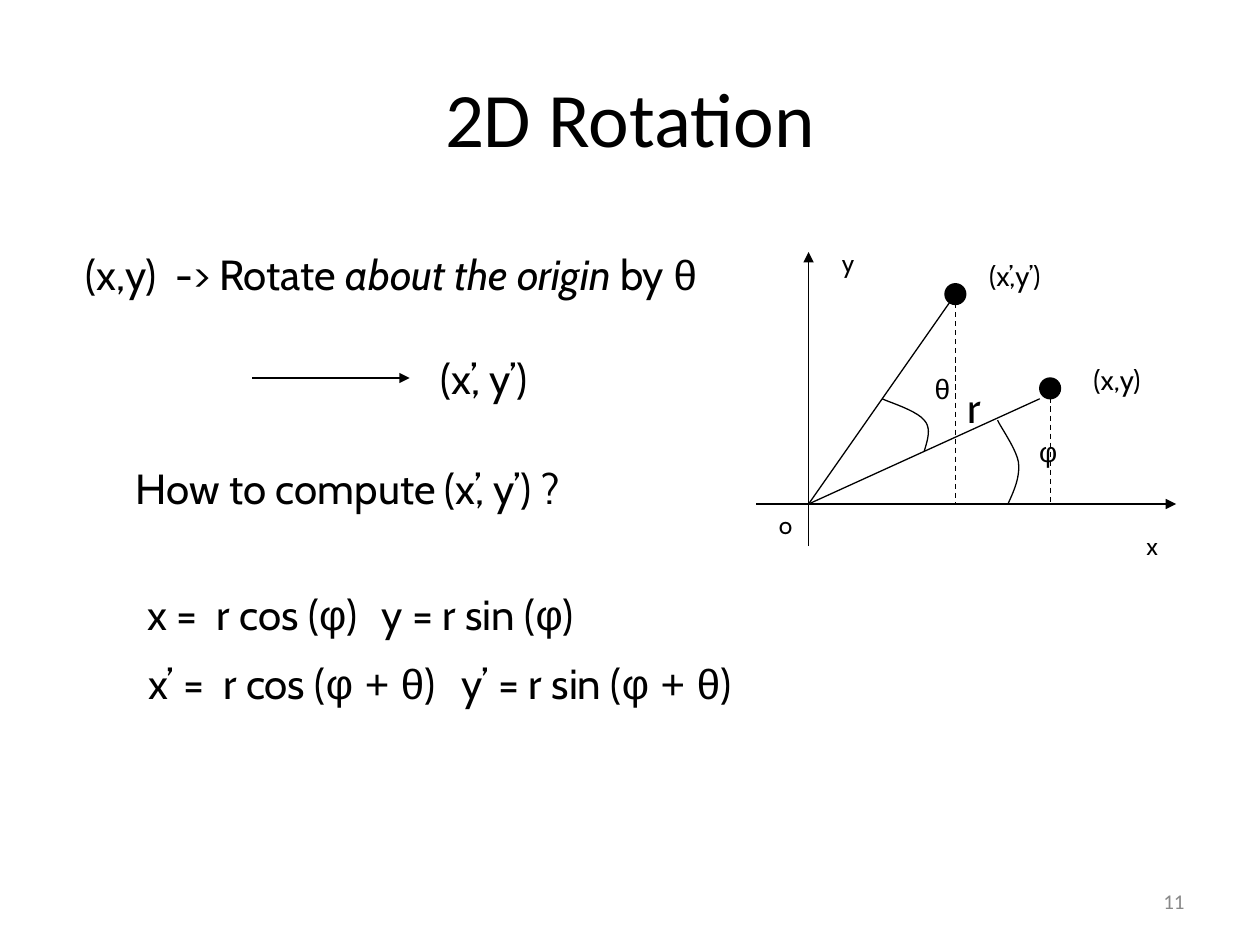
from lxml import etree
from pptx import Presentation
from pptx.dml.color import RGBColor
from pptx.enum.dml import MSO_LINE
from pptx.enum.shapes import MSO_CONNECTOR, MSO_SHAPE
from pptx.enum.text import MSO_ANCHOR, MSO_AUTO_SIZE, PP_ALIGN
from pptx.oxml.ns import qn
from pptx.util import Cm, Pt

BLACK = RGBColor(0, 0, 0)
GRAY = RGBColor(0x89, 0x89, 0x89)

TITLE = "2D Rotation"
PAGE = "11"

CABIN = {"name": "Cabin"}
ITALIC = {"name": "Cabin", "italic": True}
GREEK = {"name": "Arial"}

# left, top, width, height, size, wrap, tab stop, runs
TEXTS = [
    (1.47, 4.88, 14.48, 1.27, 24, False, None,
     [("(x,y)  -> Rotate ", CABIN), ("about the origin", ITALIC), (" by ", CABIN), ("θ", GREEK)]),
    (8.64, 6.99, 2.9, 1.27, 24, False, None, [("(x’, y’)", CABIN)]),
    (2.49, 9.19, 9.98, 1.27, 24, False, None, [("How to compute (x’, y’) ?", CABIN)]),
    (2.72, 11.73, 10.74, 1.27, 24, False, 4.72,
     [("x =  r cos (", CABIN), ("φ", GREEK), (")\ty = r sin (", CABIN), ("φ", GREEK), (")", CABIN)]),
    (2.74, 13.13, 13.89, 1.3, 24, False, 6.32,
     [("x’ =  r cos (", CABIN), ("φ + θ", GREEK), (")\ty’ = r sin (", CABIN),
      ("φ + θ", GREEK), (")", CABIN)]),
    (19.25, 7.57, 0.81, 1.27, 24, False, None, [("r", CABIN)]),
    (21.79, 7.19, 1.85, 0.94, 16, False, None, [("(x,y)", CABIN)]),
    (19.69, 5.08, 2.08, 0.94, 16, False, None, [("(x’,y’)", CABIN)]),
    (18.59, 7.37, 0.81, 0.94, 16, False, None, [("θ", GREEK)]),
    (20.7, 8.64, 0.81, 0.94, 16, False, None, [("φ", GREEK)]),
    (22.86, 10.58, 0.85, 0.85, 14, True, None, [("x", CABIN)]),
    (16.72, 4.87, 0.85, 0.85, 14, True, None, [("y", CABIN)]),
    (15.45, 10.16, 0.85, 0.85, 14, True, None, [("o", CABIN)]),
]

ORIGIN_X, ORIGIN_Y = 16.3, 10.16
POINT = (21.17, 7.83)
ROTATED = (19.26, 5.93)
DOT = 0.42

LINES = [
    ((15.24, ORIGIN_Y), (23.71, ORIGIN_Y), "arrow"),
    ((ORIGIN_X, 11.01), (ORIGIN_X, 5.08), "arrow"),
    ((5.08, 7.62), (8.26, 7.62), "arrow"),
    ((ORIGIN_X, ORIGIN_Y), (20.96, 8.04), "plain"),
    ((ORIGIN_X, ORIGIN_Y), ROTATED, "plain"),
    (POINT, (POINT[0], ORIGIN_Y), "dash"),
    (ROTATED, (ROTATED[0], ORIGIN_Y), "dash"),
]

ARCS = [
    [(18.63, 9.1), (18.7, 8.87), (18.78, 8.63), (18.63, 8.47),
     (18.48, 8.28), (17.93, 8.11), (17.78, 8.04)],
    [(20.32, 10.16), (20.45, 9.88), (20.57, 9.6), (20.53, 9.31),
     (20.48, 9.04), (20.17, 8.61), (20.11, 8.47)],
]
ARC_STEPS = 10


def set_all(obj, values):
    for key, value in values.items():
        setattr(obj, key, value)


def add_runs(p, runs, size, color=BLACK):
    for text, font in runs:
        r = p.add_run()
        r.text = text
        set_all(r.font, {"size": Pt(size), **font})
        r.font.color.rgb = color


def set_line(line):
    line.color.rgb = BLACK
    line.width = Pt(0.75)


def add_text(s, left, top, width, height, size, wrap, tab, runs):
    tf = s.shapes.add_textbox(Cm(left), Cm(top), Cm(width), Cm(height)).text_frame
    set_all(tf, {"word_wrap": wrap, "auto_size": MSO_AUTO_SIZE.SHAPE_TO_FIT_TEXT})
    p = tf.paragraphs[0]
    add_runs(p, runs, size)
    if tab:
        tabs = etree.SubElement(p._p.get_or_add_pPr(), qn("a:tabLst"))
        etree.SubElement(tabs, qn("a:tab"), pos=str(Cm(tab)), algn="l")


def add_line(s, start, end, style):
    c = s.shapes.add_connector(MSO_CONNECTOR.STRAIGHT, *map(Cm, start + end))
    set_line(c.line)
    if style == "dash":
        c.line.dash_style = MSO_LINE.DASH
    if style == "arrow":
        etree.SubElement(c.line._get_or_add_ln(), qn("a:tailEnd"), type="triangle")
    etree.SubElement(c._element.spPr, qn("a:effectLst"))


def add_dot(s, center):
    x, y = center
    sp = s.shapes.add_shape(MSO_SHAPE.OVAL, Cm(x - DOT / 2), Cm(y - DOT / 2), Cm(DOT), Cm(DOT))
    sp.shadow.inherit = False
    sp.fill.solid()
    sp.fill.fore_color.rgb = BLACK
    set_line(sp.line)


def bezier(a, b, c, d, t):
    u = 1 - t
    return tuple(Cm(u**3 * i + 3 * u * u * t * j + 3 * u * t * t * k + t**3 * m)
                 for i, j, k, m in zip(a, b, c, d))


def add_arc(s, points):
    curve = [bezier(*points[i:i + 4], n / ARC_STEPS)
             for i in range(0, len(points) - 1, 3) for n in range(1, ARC_STEPS + 1)]
    builder = s.shapes.build_freeform(*map(Cm, points[0]))
    builder.add_line_segments(curve, close=False)
    sp = builder.convert_to_shape()
    sp.shadow.inherit = False
    sp.fill.background()
    set_line(sp.line)


def main():
    prs = Presentation()
    set_all(prs, {"slide_width": Cm(25.4), "slide_height": Cm(19.05)})
    s = prs.slides.add_slide(prs.slide_layouts[5])

    title = s.shapes.title
    set_all(title, {"left": Cm(1.27), "top": Cm(0.76), "width": Cm(22.86), "height": Cm(3.18)})
    title.text_frame.vertical_anchor = MSO_ANCHOR.MIDDLE
    p = title.text_frame.paragraphs[0]
    p.alignment = PP_ALIGN.CENTER
    add_runs(p, [(TITLE, {"name": "Calibri"})], 44)

    for line in LINES:
        add_line(s, *line)
    for center in (POINT, ROTATED):
        add_dot(s, center)
    for arc in ARCS:
        add_arc(s, arc)
    for text in TEXTS:
        add_text(s, *text)

    tf = s.shapes.add_textbox(Cm(18.21), Cm(17.65), Cm(5.92), Cm(1.02)).text_frame
    set_all(tf, {"word_wrap": True, "vertical_anchor": MSO_ANCHOR.MIDDLE})
    p = tf.paragraphs[0]
    p.alignment = PP_ALIGN.RIGHT
    add_runs(p, [(PAGE, {"name": "Calibri"})], 12, GRAY)

    prs.save("out.pptx")


if __name__ == "__main__":
    main()
